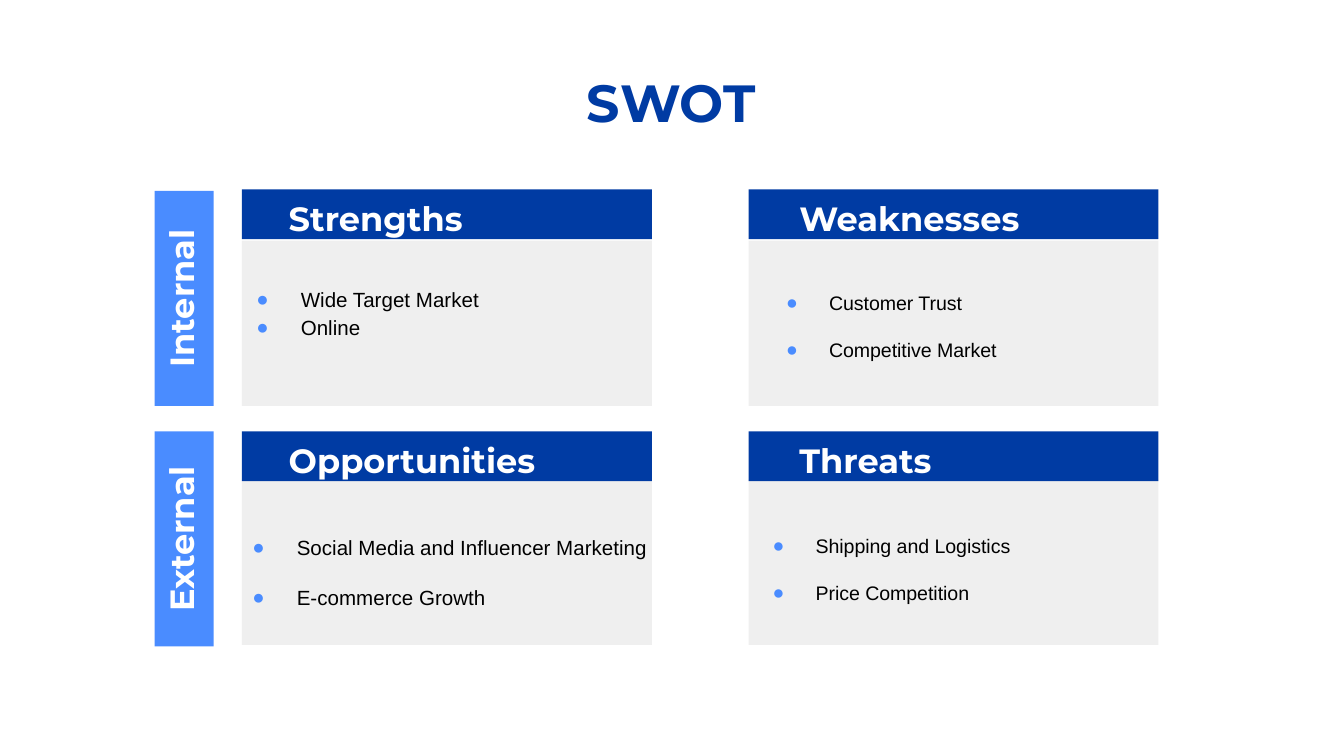
from dataclasses import dataclass

from lxml import etree
from pptx import Presentation, util as u
from pptx.dml.color import RGBColor
from pptx.enum import shapes, text
from pptx.oxml import ns

NAVY, BLUE, GREY, WHITE, BLACK = "003BA3", "4A8CFF", "EFEFEF", "FFFFFF", "000000"
COLUMNS = (1.8, 5.57)
TITLE_COLUMNS = (2.05, 5.85)
CARD_WIDTH, HEADER_HEIGHT, BODY_HEIGHT = 3.05, 0.37, 1.23


@dataclass
class Quadrant:
    title: str
    column: int
    header_top: float
    body_top: float
    items: list[str]
    list_box: tuple[float, float, float, float]
    size: float
    spacing: float
    hanging: float


@dataclass
class Band:
    label: str
    top: float


QUADRANTS = [
    Quadrant("Strengths", 0, 1.41, 1.79, ["Wide Target Market", "Online"],
             (1.64, 2.01, 2.64, 0.6), 11, 1.15, 0.33),
    Quadrant("Weaknesses", 1, 1.41, 1.79, ["Customer Trust", "Competitive Market"],
             (5.57, 1.89, 3.05, 0.95), 10.5, 2, 0.32),
    Quadrant("Opportunities", 0, 3.21, 3.57,
             ["Social Media and Influencer Marketing", "E-commerce Growth"],
             (1.61, 3.7, 3.42, 0.95), 11, 2, 0.33),
    Quadrant("Threats", 1, 3.21, 3.57, ["Shipping and Logistics", "Price Competition"],
             (5.47, 3.7, 3.05, 0.95), 10.5, 2, 0.32),
]
BANDS = [Band("Internal", 1.42), Band("External", 3.21)]


def color(value: str) -> RGBColor:
    return RGBColor.from_string(value)


def add_rectangle(slide, left: float, top: float, width: float, height: float, fill: str) -> None:
    shape = slide.shapes.add_shape(shapes.MSO_SHAPE.RECTANGLE, u.Inches(left), u.Inches(top),
                                   u.Inches(width), u.Inches(height))
    shape.shadow.inherit = False
    shape.fill.solid()
    shape.fill.fore_color.rgb = color(fill)
    shape.line.fill.background()


def add_bullet(paragraph, hanging: float) -> None:
    properties = paragraph._p.get_or_add_pPr()
    properties.set("marL", str(u.Inches(0.5)))
    properties.set("indent", str(-u.Inches(hanging)))
    bullet_color = etree.SubElement(properties, ns.qn("a:buClr"))
    etree.SubElement(bullet_color, ns.qn("a:srgbClr"), val=BLUE)
    etree.SubElement(properties, ns.qn("a:buFont"), typeface="Arial")
    etree.SubElement(properties, ns.qn("a:buChar"), char="●")


def add_text(slide, lines: list[str], box: tuple[float, float, float, float], *,
             size: float = 18, font: str = "Montserrat", fill: str = WHITE, bold: bool = True,
             align=text.PP_ALIGN.LEFT, spacing: float = 1, hanging: float = 0,
             rotation: float = 0) -> None:
    shape = slide.shapes.add_textbox(*(u.Inches(value) for value in box))
    shape.rotation = rotation
    frame = shape.text_frame
    frame.word_wrap = True
    frame.vertical_anchor = text.MSO_ANCHOR.TOP
    frame.margin_left = frame.margin_right = u.Inches(0.1)
    frame.margin_top = frame.margin_bottom = u.Inches(0.1)
    for index, line in enumerate(lines):
        paragraph = frame.add_paragraph() if index else frame.paragraphs[0]
        paragraph.alignment = align
        paragraph.line_spacing = spacing
        run = paragraph.add_run()
        run.text = line
        run.font.size = u.Pt(size)
        run.font.name = font
        run.font.bold = bold
        run.font.color.rgb = color(fill)
        if hanging:
            add_bullet(paragraph, hanging)


def add_quadrant(slide, quadrant: Quadrant) -> None:
    left = COLUMNS[quadrant.column]
    add_rectangle(slide, left, quadrant.body_top, CARD_WIDTH, BODY_HEIGHT, GREY)
    add_rectangle(slide, left, quadrant.header_top, CARD_WIDTH, HEADER_HEIGHT, NAVY)
    title_left = TITLE_COLUMNS[quadrant.column]
    add_text(slide, [quadrant.title], (title_left, quadrant.header_top - 0.04, CARD_WIDTH, 0.46))
    add_text(slide, quadrant.items, quadrant.list_box, size=quadrant.size, font="Arial",
             fill=BLACK, bold=False, spacing=quadrant.spacing, hanging=quadrant.hanging)


def add_band(slide, band: Band) -> None:
    add_rectangle(slide, 1.15, band.top, 0.44, 1.6, BLUE)
    add_text(slide, [band.label], (0.67, band.top + 0.53, 1.4, 0.54),
             align=text.PP_ALIGN.CENTER, rotation=270)


def main() -> None:
    # Widescreen page, 16:9
    presentation = Presentation()
    presentation.slide_width = u.Inches(10)
    presentation.slide_height = u.Inches(10 * 9 / 16)
    slide = presentation.slides.add_slide(presentation.slide_layouts[6])

    # Title
    add_text(slide, ["SWOT"], (0.78, 0.42, 8.43, 0.63), size=28, fill=NAVY,
             align=text.PP_ALIGN.CENTER)

    # Four cards
    for quadrant in QUADRANTS:
        add_quadrant(slide, quadrant)

    # Row labels
    for band in BANDS:
        add_band(slide, band)

    presentation.save("out.pptx")


if __name__ == "__main__":
    main()
